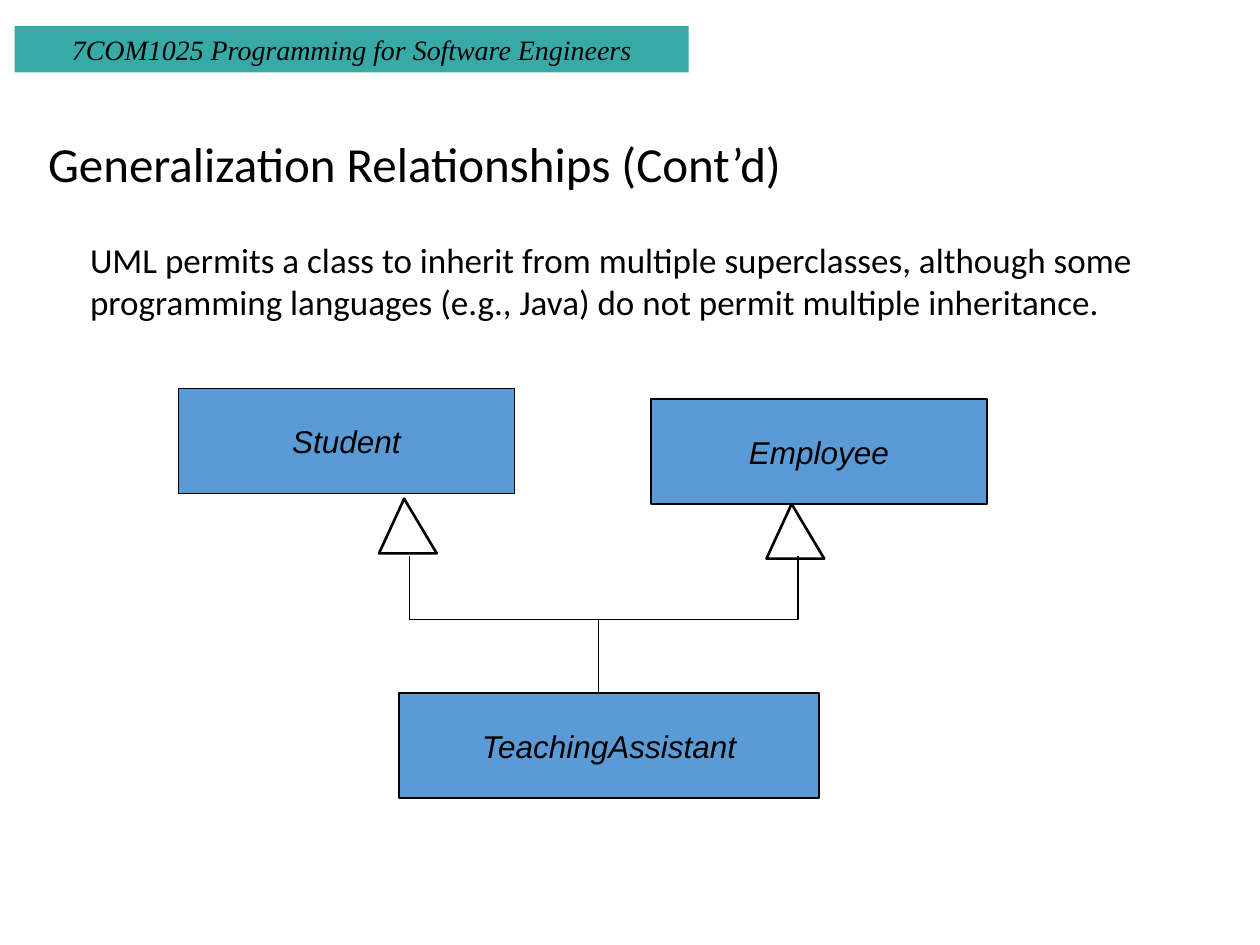
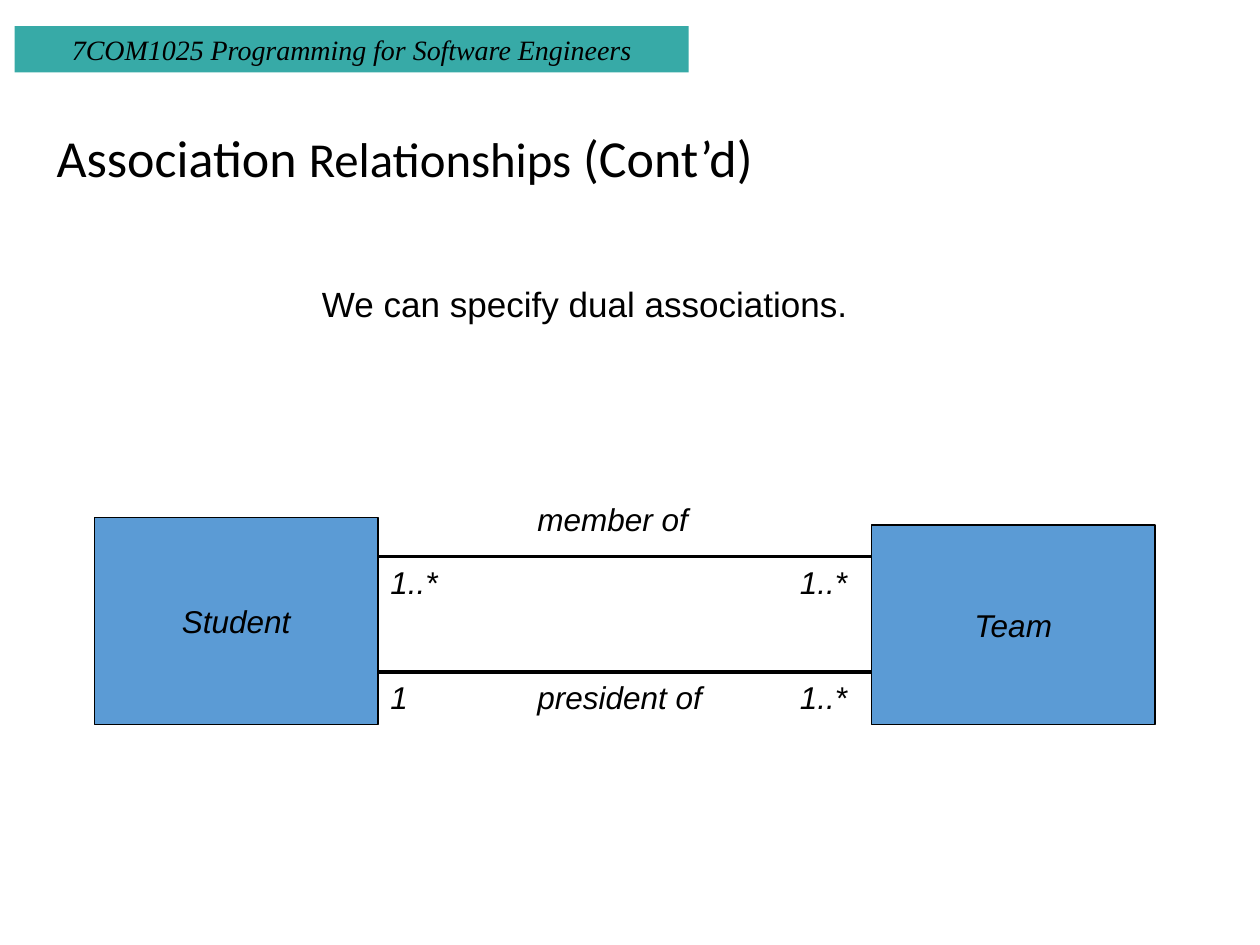
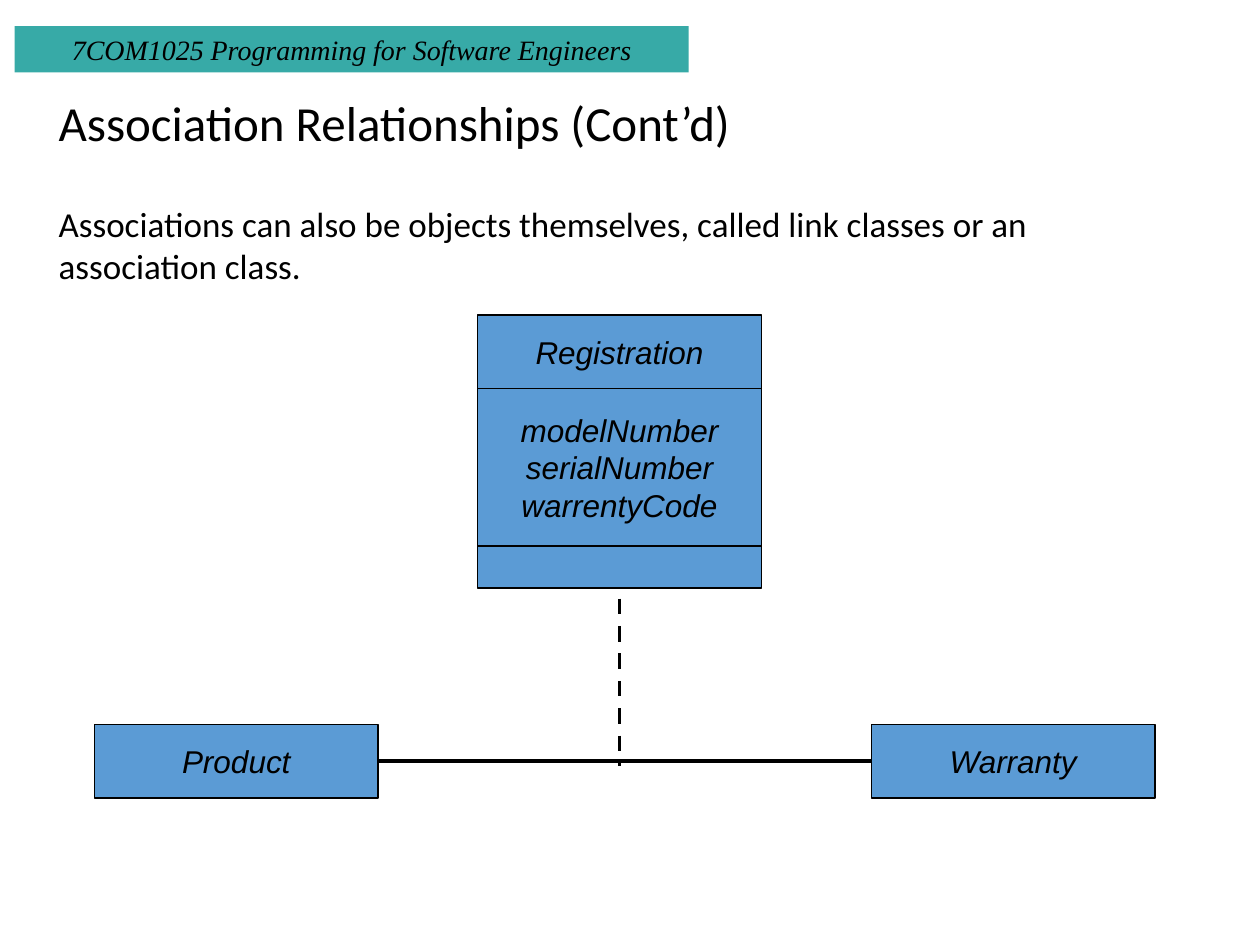
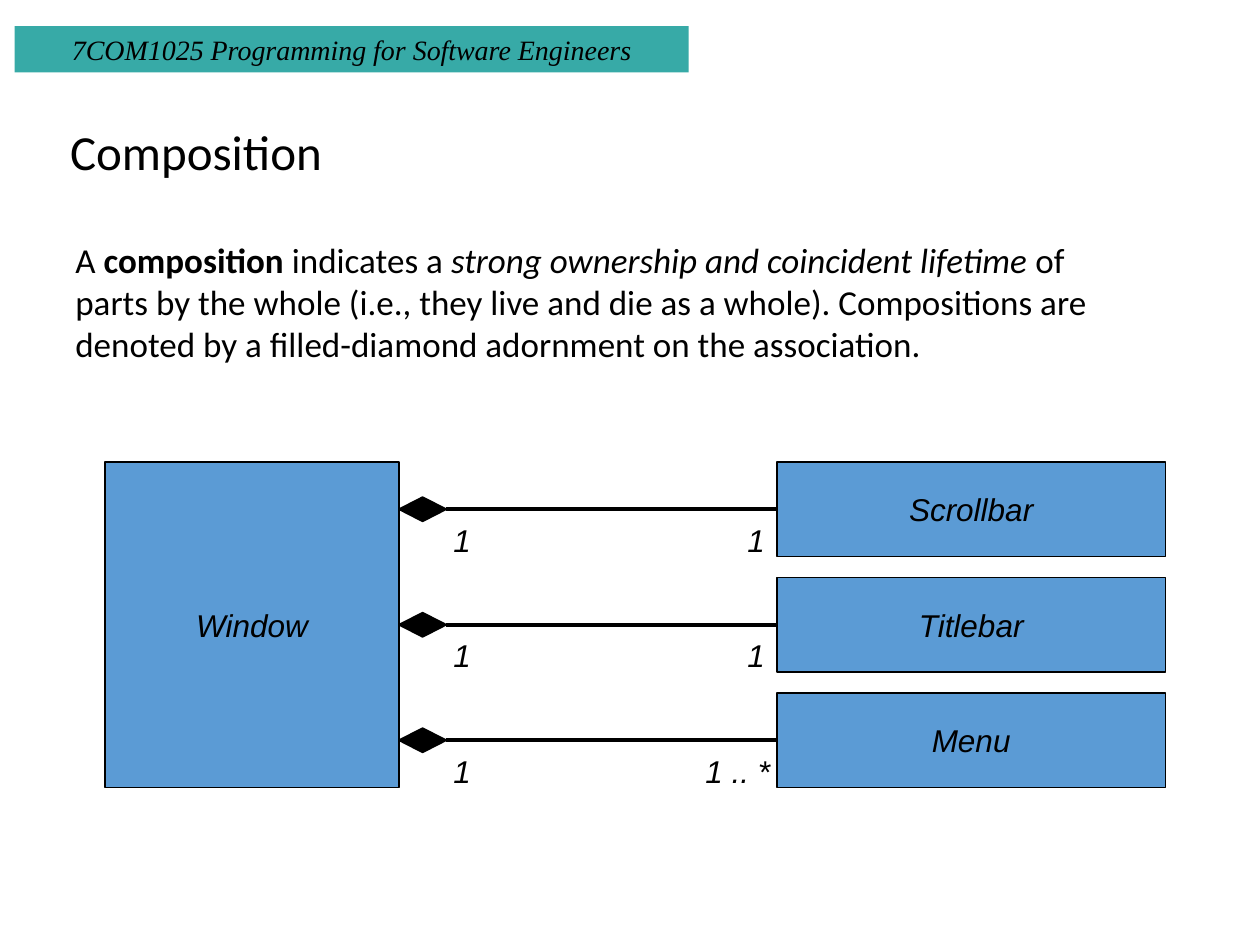
"""Build four UML relationship slides on a grid of 120 columns by 90 rows."""
import pptx
import pptx.dml.color
import pptx.enum.dml
import pptx.enum.shapes
import pptx.enum.text
import pptx.oxml.ns
import pptx.util
from lxml import etree

BLACK, WHITE, TEAL, BLUE = "000000", "FFFFFF", "37AAA7", "5B9BD5"
TITLE = ("Calibri", 28, "")
BODY = ("Calibri", 20, "")
LABEL = ("Arial", 18, "i")
BAND = ("Times New Roman", 16, "i")
CENTER = pptx.enum.text.PP_ALIGN.CENTER
LEFT = pptx.enum.text.PP_ALIGN.LEFT
TOP = pptx.enum.text.MSO_ANCHOR.TOP
MIDDLE = pptx.enum.text.MSO_ANCHOR.MIDDLE
RECTANGLE = pptx.enum.shapes.MSO_SHAPE.RECTANGLE
STRAIGHT = pptx.enum.shapes.MSO_CONNECTOR.STRAIGHT
color = pptx.dml.color.RGBColor.from_string

presentation = pptx.Presentation()
presentation.slide_width = pptx.util.Inches(10)
presentation.slide_height = pptx.util.Inches(7.5)
CELL = presentation.slide_width // 120


def add_box(slide, frame, paragraphs, fill=None, line=None, align=LEFT, anchor=TOP, spacing=1.0):
    """Add a text box, or a rectangle if a fill is given; a run is (text, font, size, emphasis)."""
    frame = [round(value * CELL) for value in frame]
    if fill:
        shape = slide.shapes.add_shape(RECTANGLE, *frame)
        shape.shadow.inherit = False
        shape.fill.solid()
        shape.fill.fore_color.rgb = color(fill)
        if line:
            shape.line.color.rgb = color(line)
            shape.line.width = pptx.util.Pt(0.75)
        else:
            shape.line.fill.background()
    else:
        shape = slide.shapes.add_textbox(*frame)
    text_frame = shape.text_frame
    text_frame.word_wrap = True
    text_frame.vertical_anchor = anchor
    for index, runs in enumerate(paragraphs):
        paragraph = text_frame.add_paragraph() if index else text_frame.paragraphs[0]
        paragraph.alignment = align
        paragraph.line_spacing = spacing
        for text, font, size, emphasis in runs:
            run = paragraph.add_run()
            run.text = text
            run.font.name = font
            run.font.size = pptx.util.Pt(size)
            run.font.bold = "b" in emphasis
            run.font.italic = "i" in emphasis
            run.font.color.rgb = color(BLACK)
    return shape


def add_path(slide, points, width, fill=None):
    """Add a connector for two points, else an outline that is closed when it has a fill."""
    points = [(round(x * CELL), round(y * CELL)) for x, y in points]
    if len(points) == 2:
        shape = slide.shapes.add_connector(STRAIGHT, *points[0], *points[1])
        etree.SubElement(shape._element.spPr, pptx.oxml.ns.qn("a:effectLst"))
    else:
        builder = slide.shapes.build_freeform(*points[0], scale=1.0)
        builder.add_line_segments(points[1:], close=bool(fill))
        shape = builder.convert_to_shape()
        shape.shadow.inherit = False
        if fill:
            shape.fill.solid()
            shape.fill.fore_color.rgb = color(fill)
        else:
            shape.fill.background()
    shape.line.color.rgb = color(BLACK)
    shape.line.width = pptx.util.Pt(width)
    return shape


class_style = {"fill": BLUE, "line": BLACK, "align": CENTER, "anchor": MIDDLE}

slide_texts = [
    ((3.4, 12.4, 104, 7), [("Generalization Relationships (Cont’d)", *TITLE)],
     (7.4, 22.1, 107, 9.3),
     [("UML permits a class to inherit from multiple superclasses, although some "
       "programming languages (e.g., Java) do not permit multiple inheritance.", *BODY)], LEFT),
    ((4.2, 11.8, 106, 7),
     [("Association ", "Calibri", 29.7, ""), ("Relationships", "Calibri", 27.9, ""),
      (" (Cont’d)", "Calibri", 29.7, "")],
     (4.2, 26.3, 103, 5.3), [("We can specify dual associations.", "Arial", 20, "")], CENTER),
    ((4.4, 8.5, 106, 7), [("Association Relationships (Cont’d)", *TITLE)],
     (4.4, 18.7, 106.4, 9.3),
     [("Associations can also be objects themselves, called link classes or an "
       "association class.", *BODY)], LEFT),
    ((5.5, 11.2, 106, 7), [("Composition", *TITLE)],
     (6, 22.1, 103, 13.3),
     [("A ", *BODY), ("composition", "Calibri", 20, "b"), (" indicates a ", *BODY),
      ("strong ownership and coincident lifetime", "Calibri", 20, "i"),
      (" of parts by the whole (i.e., they live and die as a whole). Compositions are "
       "denoted by a filled-diamond adornment on the association.", *BODY)], LEFT),
]
slides = []
for title_frame, title_runs, body_frame, body_runs, body_align in slide_texts:
    slide = presentation.slides.add_slide(presentation.slide_layouts[6])
    slide.background.fill.solid()
    slide.background.fill.fore_color.rgb = color(WHITE)
    add_box(slide, (1.4, 2.5, 64.2, 4.4),
            [[("7COM1025 Programming for Software Engineers", *BAND)]], fill=TEAL, align=CENTER)
    add_box(slide, title_frame, [title_runs], anchor=MIDDLE, spacing=0.9)
    add_box(slide, body_frame, [body_runs], align=body_align)
    slides.append(slide)
generalization, dual_association, link_class, composition = slides

for name, frame in [("Student", (17, 37, 32, 10)), ("Employee", (62, 38, 32, 10)),
                    ("TeachingAssistant", (38, 66, 40, 10))]:
    add_box(generalization, frame, [[(name, *LABEL)]], **class_style)
for left, top in [(36.1, 47.5), (73, 48)]:
    add_path(generalization, [(left + 2.4, top), (left, top + 5.2), (left + 5.5, top + 5.2)],
             1.5, WHITE)
add_path(generalization, [(39, 53), (39, 59), (76, 59), (76, 53)], 1)
add_path(generalization, [(57, 59), (57, 66)], 1)

for name, frame in [("Student", (9, 49.3, 27, 19.7)), ("Team", (83, 50, 27, 19))]:
    add_box(dual_association, frame, [[(name, *LABEL)]], **class_style)
for row, role, role_row, student_count in [(53, "member of", 47, "1..*"),
                                           (64, "president of", 64, "1")]:
    add_path(dual_association, [(36, row), (83, row)], 2.25)
    for text, left, top, width in [(role, 50, role_row, 23), (student_count, 36, row, 9),
                                   ("1..*", 75, row, 9)]:
        add_box(dual_association, (left, top, width, 6), [[(text, *LABEL)]])

product, warranty = [
    add_box(link_class, (left, 69, 27, 7), [[(name, *LABEL)]], **class_style)
    for name, left in [("Product", 9), ("Warranty", 83)]]
association = add_path(link_class, [(36, 72.5), (83, 72.5)], 2.25)
association.begin_connect(product, 3)
association.end_connect(warranty, 1)
link = add_path(link_class, [(59, 57), (59, 73)], 2.25)
link.line.dash_style = pptx.enum.dml.MSO_LINE.DASH
for top, height, names in [(30, 7, ["Registration"]),
                           (37, 15, ["modelNumber", "serialNumber", "warrentyCode"]),
                           (52, 4, [])]:
    add_box(link_class, (45.5, top, 27, height), [[(name, *LABEL)] for name in names],
            **class_style)

add_box(composition, (10, 44, 28, 31), [[("Window", *LABEL)]], **class_style)
for index, (name, count, count_left, count_width) in enumerate(
        [("Scrollbar", "1", 70, 4), ("Titlebar", "1", 70, 4), ("Menu", "1 .. *", 66, 10)]):
    top = 44 + 11 * index
    middle = top + 4.5
    part = add_box(composition, (74, top, 37, 9), [[(name, *LABEL)]], **class_style)
    ownership = add_path(composition, [(42.5, middle), (74, middle)], 2.25)
    ownership.end_connect(part, 1)
    add_path(composition, [(38, middle), (40.25, middle - 1.15), (42.5, middle),
                           (40.25, middle + 1.15)], 1, BLACK)
    for text, left, width in [("1", 42, 4), (count, count_left, count_width)]:
        add_box(composition, (left, top + 5, width, 4.8), [[(text, *LABEL)]])

presentation.save("out.pptx")
